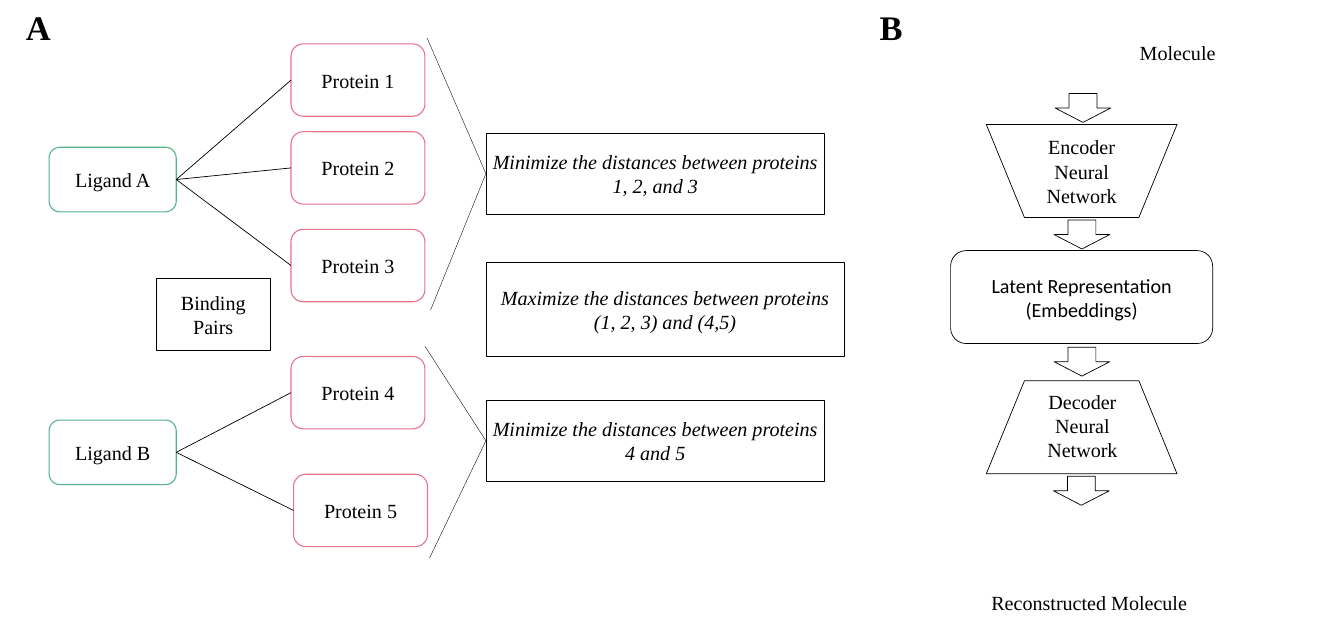
from dataclasses import dataclass

from lxml import etree
from pptx import Presentation
from pptx.dml.color import RGBColor
from pptx.enum.shapes import MSO_CONNECTOR, MSO_SHAPE
from pptx.enum.text import MSO_ANCHOR, MSO_AUTO_SIZE, PP_ALIGN
from pptx.oxml.ns import qn
from pptx.shapes.autoshape import Shape
from pptx.shapes.connector import Connector
from pptx.slide import Slide
from pptx.text.text import TextFrame
from pptx.util import Inches, Pt

RECTANGLE = MSO_SHAPE.RECTANGLE
ROUNDED = MSO_SHAPE.ROUNDED_RECTANGLE
TRAPEZOID = MSO_SHAPE.FLOWCHART_MANUAL_OPERATION
DOWN_ARROW = MSO_SHAPE.DOWN_ARROW
STRAIGHT = MSO_CONNECTOR.STRAIGHT
MIDDLE = MSO_ANCHOR.MIDDLE
TOP = MSO_ANCHOR.TOP
CENTER = PP_ALIGN.CENTER
LEFT = PP_ALIGN.LEFT
FIT_TEXT = MSO_AUTO_SIZE.SHAPE_TO_FIT_TEXT
LEFT_SITE, RIGHT_SITE = 1, 3


@dataclass(frozen=True)
class Theme:
    black: str = "000000"
    ligand: str = "56B288"
    protein: str = "E8718C"
    serif: str = "Times New Roman"
    sans: str = "Calibri"
    body_size: float = 28
    panel_size: float = 48
    card_line: float = 1.5
    plain_line: float = 1
    box_line: float = 0.75
    bracket_line: float = 0.5


THEME = Theme()
BODY = {"name": THEME.serif, "size": Pt(THEME.body_size)}
GOAL = {**BODY, "italic": True}
PANEL = {**BODY, "size": Pt(THEME.panel_size), "bold": True}
LATENT = {**BODY, "name": THEME.sans}


@dataclass(frozen=True)
class Box:
    left: float
    top: float
    width: float
    height: float
    text: str = ""
    kind: MSO_SHAPE = RECTANGLE
    color: str = THEME.black
    weight: float = THEME.plain_line
    font: dict | None = None
    rotation: float = 0


@dataclass(frozen=True)
class Label:
    left: float
    top: float
    width: float
    height: float
    text: str
    font: dict
    wrap: bool = False
    align: PP_ALIGN = LEFT


@dataclass(frozen=True)
class Cluster:
    ligand: Box
    proteins: list[Box]
    goal: Box
    bracket_ends: list[tuple[float, float]]


def ligand(name: str, top: float) -> Box:
    return Box(0.95, top, 2.46, 1.25, f"Ligand {name}", ROUNDED, THEME.ligand, THEME.card_line)


def protein(number: int, top: float, left: float = 5.63) -> Box:
    return Box(left, top, 2.59, 1.4, f"Protein {number}", ROUNDED, THEME.protein, THEME.card_line)


def goal(text: str, top: float, width: float = 6.55, height: float = 1.58) -> Box:
    return Box(9.4, top, width, height, text, weight=THEME.box_line, font=GOAL)


CLUSTERS = [
    Cluster(
        ligand("A", 2.85),
        [protein(1, 0.85), protein(2, 2.55), protein(3, 4.44)],
        goal("Minimize the distances between proteins 1, 2, and 3", 2.57),
        [(8.26, 0.73), (8.33, 6)],
    ),
    Cluster(
        ligand("B", 8.13),
        [protein(4, 6.9), protein(5, 9.18, 5.68)],
        goal("Minimize the distances between proteins 4 and 5", 7.74),
        [(8.22, 6.7), (8.31, 10.8)],
    ),
]

BOXES = [
    Box(3.02, 5.38, 2.21, 1.4, "Binding Pairs", weight=THEME.box_line),
    goal("Maximize the distances between proteins (1, 2, 3) and (4,5)", 5.07, 6.93, 1.83),
    Box(19.08, 2.41, 3.69, 1.8, "Encoder Neural Network", TRAPEZOID),
    Box(18.39, 4.85, 5.07, 1.8, "Latent Representation (Embeddings)", ROUNDED, font=LATENT),
    Box(19.08, 7.37, 3.69, 1.8, kind=TRAPEZOID, rotation=180),
]

ARROWS = [
    Box(left, top, 1.08, 0.56, kind=DOWN_ARROW)
    for left, top in [(20.41, 1.81), (20.39, 4.26), (20.39, 6.72), (20.38, 9.22)]
]

LABELS = [
    Label(0.4, 0.07, 0.69, 0.91, "A", PANEL),
    Label(16.92, 0.07, 0.65, 0.91, "B", PANEL),
    Label(19.81, 7.48, 2.26, 1.51, "Decoder Neural Network", BODY, True, CENTER),
    Label(21.95, 0.73, 1.68, 0.57, "Molecule", BODY),
    Label(19.08, 11.37, 4.02, 0.57, "Reconstructed Molecule", BODY),
]


def write_text(frame: TextFrame, text: str, font: dict, align: PP_ALIGN) -> None:
    para = frame.paragraphs[0]
    para.alignment = align
    span = para.add_run()
    span.text = text
    for attribute, value in font.items():
        setattr(span.font, attribute, value)
    span.font.color.rgb = RGBColor.from_string(THEME.black)


def draw_box(page: Slide, box: Box) -> Shape:
    bounds = map(Inches, (box.left, box.top, box.width, box.height))
    shape = page.shapes.add_shape(box.kind, *bounds)
    shape.shadow.inherit = False
    shape.rotation = box.rotation
    shape.fill.background()
    shape.line.color.rgb = RGBColor.from_string(box.color)
    shape.line.width = Pt(box.weight)
    if box.text:
        shape.text_frame.word_wrap = True
        shape.text_frame.vertical_anchor = MIDDLE
        write_text(shape.text_frame, box.text, box.font or BODY, CENTER)
    return shape


def draw_label(page: Slide, label: Label) -> None:
    bounds = map(Inches, (label.left, label.top, label.width, label.height))
    frame = page.shapes.add_textbox(*bounds).text_frame
    settings = {"word_wrap": label.wrap, "auto_size": FIT_TEXT, "vertical_anchor": TOP}
    for attribute, value in settings.items():
        setattr(frame, attribute, value)
    write_text(frame, label.text, label.font, label.align)


def draw_line(page: Slide, start: tuple[float, float], target: Shape, weight: float) -> Connector:
    x, y = map(Inches, start)
    line = page.shapes.add_connector(STRAIGHT, x, y, x, y)
    line.end_connect(target, LEFT_SITE)
    line.line.color.rgb = RGBColor.from_string(THEME.black)
    line.line.width = Pt(weight)
    etree.SubElement(line._element.spPr, qn("a:effectLst"))
    return line


def draw_cluster(page: Slide, cluster: Cluster) -> None:
    source = draw_box(page, cluster.ligand)
    for box in cluster.proteins:
        target = draw_box(page, box)
        line = draw_line(page, (box.left, box.top), target, THEME.plain_line)
        line.begin_connect(source, RIGHT_SITE)
    goal_shape = draw_box(page, cluster.goal)
    for start in cluster.bracket_ends:
        draw_line(page, start, goal_shape, THEME.bracket_line)


def main() -> None:
    deck = Presentation()
    deck.slide_width, deck.slide_height = Inches(26), Inches(12)
    page = deck.slides.add_slide(deck.slide_layouts[6])
    for cluster in CLUSTERS:
        draw_cluster(page, cluster)
    for box in BOXES + ARROWS:
        draw_box(page, box)
    for label in LABELS:
        draw_label(page, label)
    deck.save("out.pptx")


if __name__ == "__main__":
    main()
